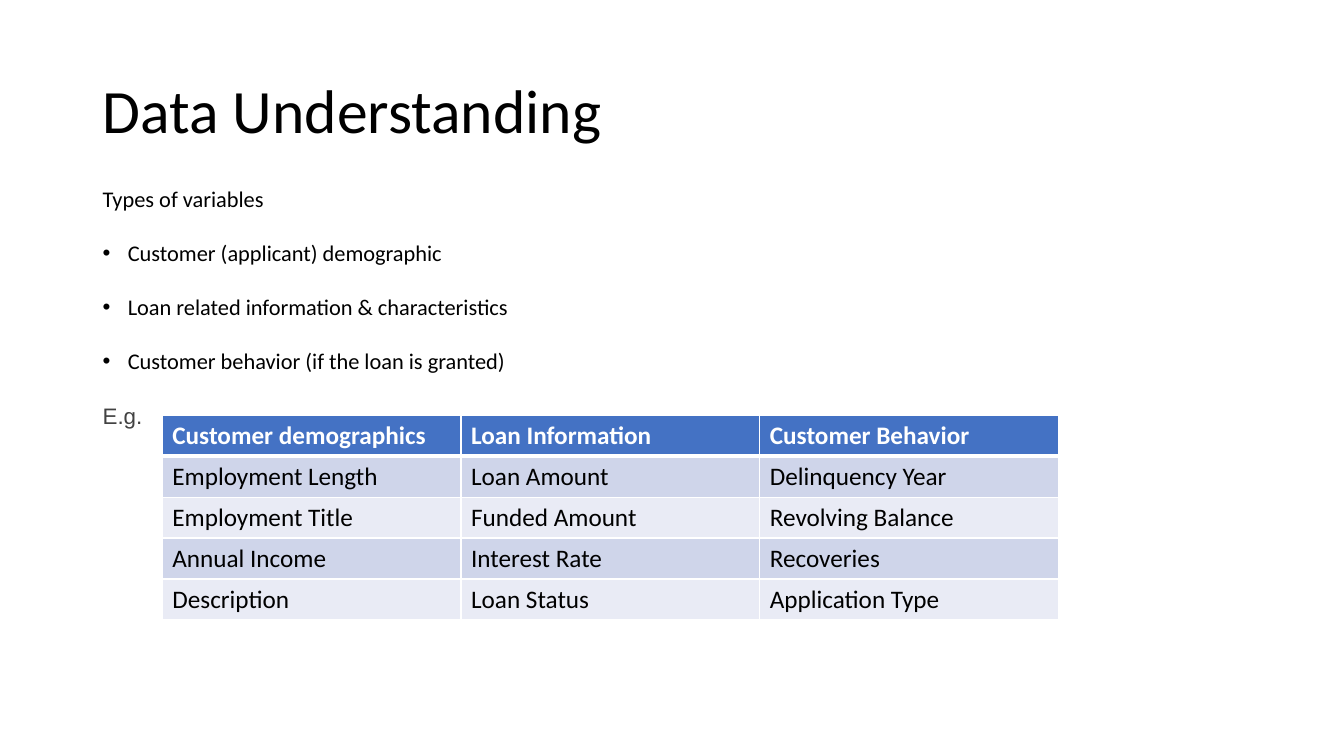
import pptx
import pptx.dml.color
import pptx.enum.text
import pptx.oxml
import pptx.oxml.ns
import pptx.util
from pptx.util import Inches

COLORS = {"ink": "000000", "gray": "424242", "white": "FFFFFF",
          "head": "4472C4", "dark": "CFD5EA", "light": "E9EBF5"}
TYPES = ["Customer (applicant) demographic",
         "Loan related information & characteristics",
         "Customer behavior (if the loan is granted)"]
ROWS = [
    ["Customer demographics", "Loan Information", "Customer Behavior"],
    ["Employment Length", "Loan Amount", "Delinquency Year"],
    ["Employment Title", "Funded Amount", "Revolving Balance"],
    ["Annual Income", "Interest Rate", "Recoveries"],
    ["Description", "Loan Status", "Application Type"],
]


def color(name):
    """Look up a named colour."""
    return pptx.dml.color.RGBColor.from_string(COLORS[name])


def node(xml):
    """Parse an XML fragment in the drawing namespace."""
    space = pptx.oxml.ns.nsdecls("a")
    return pptx.oxml.parse_xml(xml.replace(" ", f" {space} ", 1))


class Page:
    """Holds the text style and the current slide."""

    face = "Calibri"

    def __init__(self, deck):
        """Add a blank slide."""
        self.slide = deck.slides.add_slide(deck.slide_layouts[6])

    def style(self, para, size, ink="ink", face=None, bold=False):
        """Set the font of a paragraph."""
        font = para.font
        font.name = face or self.face
        font.size = pptx.util.Pt(size)
        font.bold = bold
        font.color.rgb = color(ink)

    def box(self, left, top, width, height):
        """Add a wrapping text box and return its frame."""
        shape = self.slide.shapes.add_textbox(
            Inches(left), Inches(top), Inches(width), Inches(height))
        shape.text_frame.word_wrap = True
        return shape.text_frame

    def title(self, text):
        """Add the slide title."""
        frame = self.box(0.92, 0.4, 11.5, 1.45)
        frame.vertical_anchor = pptx.enum.text.MSO_ANCHOR.MIDDLE
        para = frame.paragraphs[0]
        para.text = text
        para.line_spacing = 0.9
        self.style(para, 44)

    def body(self, intro, items, label):
        """Add the intro, its bullets and the table label."""
        frame = self.box(0.92, 1.65, 11.5, 2.79)
        for i, text in enumerate([intro, *items, label]):
            para = frame.paragraphs[0] if i == 0 else frame.add_paragraph()
            para.text = text
            para.line_spacing = 1.5
            para.space_before = pptx.util.Pt(10)
            if text in items:
                self.bullet(para)
            if text == label:
                self.style(para, 16, "gray", "Arial")
            else:
                self.style(para, 16)

    def bullet(self, para):
        """Give a paragraph a hanging bullet."""
        props = para._p.get_or_add_pPr()
        props.set("marL", str(Inches(0.25)))
        props.set("indent", str(-Inches(0.25)))
        props.append(node('<a:buFont typeface="Arial"/>'))
        props.append(node('<a:buChar char="•"/>'))

    def border(self, cell, widths):
        """Draw white cell borders, given in points by side."""
        props = cell._tc.get_or_add_tcPr()
        for i, (side, width) in enumerate(widths.items()):
            props.insert(i, node(
                f'<a:ln{side} w="{pptx.util.Pt(width)}"><a:solidFill>'
                f'<a:srgbClr val="{COLORS["white"]}"/>'
                f'</a:solidFill></a:ln{side}>'))

    def table(self, rows, left, top, width, height):
        """Add a table with a header and banded rows."""
        grid = self.slide.shapes.add_table(
            len(rows), len(rows[0]), Inches(left), Inches(top),
            Inches(width), Inches(height)).table
        for r, row in enumerate(rows):
            head = r == 0
            fill = "head" if head else "dark" if r % 2 else "light"
            sides = {"L": 1, "R": 1, "T": 3 if r == 1 else 1,
                     "B": 3 if head else 1}
            for c, text in enumerate(row):
                cell = grid.cell(r, c)
                cell.text = text
                cell.fill.solid()
                cell.fill.fore_color.rgb = color(fill)
                self.border(cell, sides)
                self.style(cell.text_frame.paragraphs[0], 18,
                           "white" if head else "ink", bold=head)


def main():
    """Build and save the slide."""
    deck = pptx.Presentation()
    deck.slide_width, deck.slide_height = Inches(13.33), Inches(7.5)
    page = Page(deck)
    page.title("Data Understanding")
    page.body("Types of variables", TYPES, "E.g.")
    page.table(ROWS, 1.61, 4.12, 8.89, 2.03)
    deck.save("out.pptx")


main()
